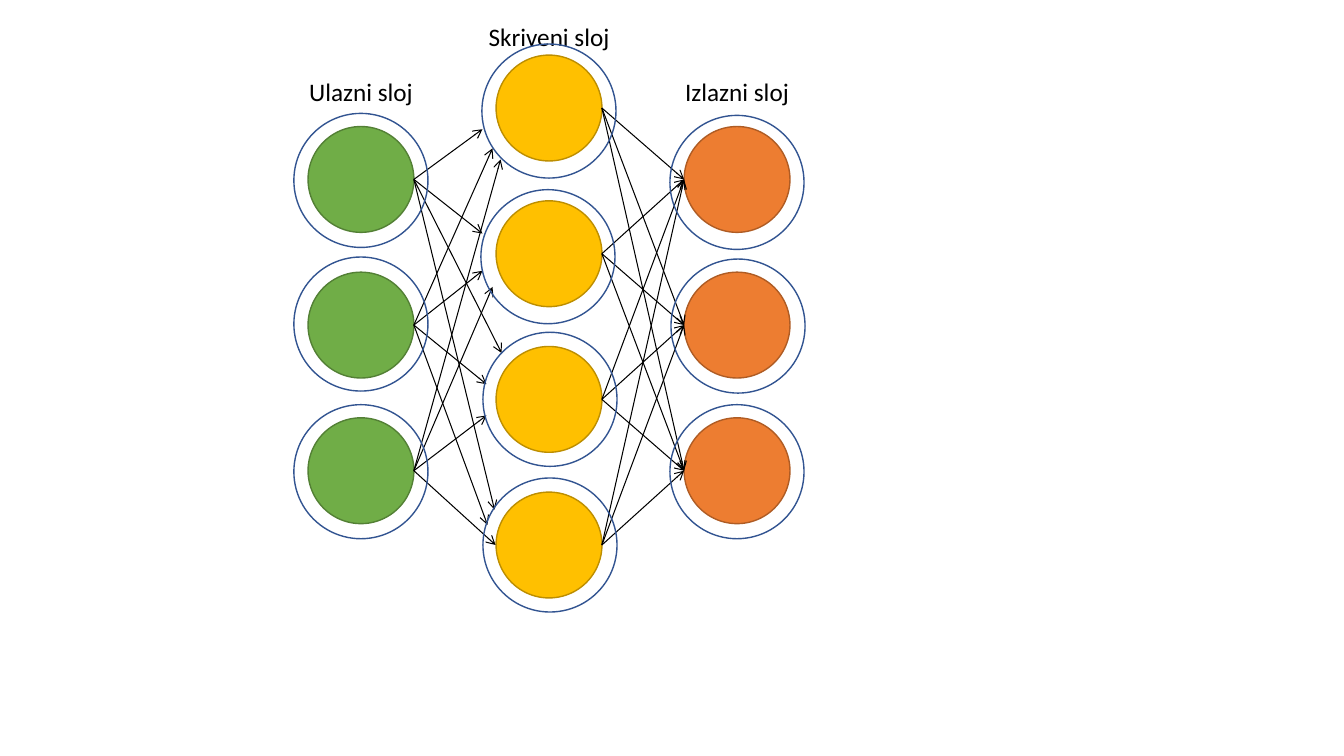
import dataclasses
import pptx
import pptx.dml.color
import pptx.enum.shapes
import pptx.enum.text
import pptx.oxml
import pptx.oxml.ns
import pptx.util


@dataclasses.dataclass(frozen=True)
class Theme:
    font: str = "Calibri"
    label_size: int = 18
    outline: float = 1
    arrow: float = 0.75
    ink: str = "000000"
    ring: str = "325491"


@dataclasses.dataclass(frozen=True)
class Layer:
    title: str
    title_top: float
    title_width: float
    title_shift: float
    column: int
    first_row: float
    fill: str
    edge: str
    ring_shifts: tuple

    def centers(self):
        return [
            (FIRST_X + self.column * COLUMN, FIRST_Y + (self.first_row + row) * ROW)
            for row in range(len(self.ring_shifts))
        ]


THEME = Theme()
WIDTH, HEIGHT = 13.33, 7.5
FIRST_X, FIRST_Y = 3.58, 1.78
COLUMN, ROW = 1.865, 1.445
NEURON, RING = 1.05, 1.33
TITLE_HEIGHT = 0.4

INPUT = Layer("Ulazni sloj", 0.71, 1.61, 0, 0, 0, "70AD47", "538035",
              ((0, 0.01), (0, -0.01), (0, 0.01)))
HIDDEN = Layer("Skriveni sloj", 0.16, 1.89, 0, 1, -0.49, "FFC000", "BD8E00",
               ((0, 0.03), (-0.01, 0.03), (0.01, 0), (0.01, 0)))
OUTPUT = Layer("Izlazni sloj", 0.71, 1.39, 0, 2, 0, "ED7D31", "AF5C24",
               ((0, 0.03), (0.01, 0.01), (0, 0.01)))
LAYERS = (INPUT, HIDDEN, OUTPUT)

HIDDEN_TIPS = (
    ((-0.66, 0.21), (-0.66, -0.2), (-0.47, -0.46), (-0.54, -0.35)),
    ((-0.56, 0.4), (-0.66, 0.17), (-0.62, -0.15), (-0.61, -0.2)),
    ((-0.48, 0.51), (-0.56, 0.33), (-0.62, 0.16), (-0.53, 0)),
)
OUTPUT_TIPS = (((-NEURON / 2, 0),) * 3,) * 4


def inches(*lengths):
    return [pptx.util.Inches(length) for length in lengths]


def color(code):
    return pptx.dml.color.RGBColor.from_string(code)


def add_circle(slide, center, diameter, edge, fill=None):
    x, y = center
    circle = slide.shapes.add_shape(
        pptx.enum.shapes.MSO_SHAPE.OVAL,
        *inches(x - diameter / 2, y - diameter / 2, diameter, diameter))
    circle.shadow.inherit = False
    if fill:
        circle.fill.solid()
        circle.fill.fore_color.rgb = color(fill)
    else:
        circle.fill.background()
    circle.line.color.rgb = color(edge)
    circle.line.width = pptx.util.Pt(THEME.outline)


def add_arrow(slide, start, end):
    arrow = slide.shapes.add_connector(
        pptx.enum.shapes.MSO_CONNECTOR.STRAIGHT, *inches(*start, *end))
    arrow.line.color.rgb = color(THEME.ink)
    arrow.line.width = pptx.util.Pt(THEME.arrow)
    properties = arrow._element.spPr
    line = properties.find(pptx.oxml.ns.qn("a:ln"))
    namespace = pptx.oxml.ns.nsdecls("a")
    line.append(pptx.oxml.parse_xml(f'<a:tailEnd {namespace} type="arrow"/>'))
    properties.append(pptx.oxml.parse_xml(f"<a:effectLst {namespace}/>"))


def connect(slide, source, target, tips):
    for (x, y), row_tips in zip(source.centers(), tips):
        for (target_x, target_y), (dx, dy) in zip(target.centers(), row_tips):
            add_arrow(slide, (x + NEURON / 2, y), (target_x + dx, target_y + dy))


def add_title(slide, layer):
    middle = FIRST_X + layer.column * COLUMN + layer.title_shift
    title = slide.shapes.add_textbox(*inches(
        middle - layer.title_width / 2, layer.title_top,
        layer.title_width, TITLE_HEIGHT))
    frame = title.text_frame
    frame.word_wrap = True
    frame.auto_size = pptx.enum.text.MSO_AUTO_SIZE.SHAPE_TO_FIT_TEXT
    frame.text = layer.title
    paragraph = frame.paragraphs[0]
    paragraph.alignment = pptx.enum.text.PP_ALIGN.CENTER
    font = paragraph.runs[0].font
    font.name = THEME.font
    font.size = pptx.util.Pt(THEME.label_size)
    font.color.rgb = color(THEME.ink)


def add_neurons(slide, layer):
    for center in layer.centers():
        add_circle(slide, center, NEURON, layer.edge, layer.fill)


def add_rings(slide, layer):
    for (x, y), (dx, dy) in zip(layer.centers(), layer.ring_shifts):
        add_circle(slide, (x + dx, y + dy), RING, THEME.ring)


def main():
    deck = pptx.Presentation()
    deck.slide_width, deck.slide_height = inches(WIDTH, HEIGHT)
    slide = deck.slides.add_slide(deck.slide_layouts[6])
    for layer in LAYERS:
        add_neurons(slide, layer)
    connect(slide, INPUT, HIDDEN, HIDDEN_TIPS)
    connect(slide, HIDDEN, OUTPUT, OUTPUT_TIPS)
    for layer in LAYERS:
        add_title(slide, layer)
    for layer in LAYERS:
        add_rings(slide, layer)
    deck.save("out.pptx")


main()
